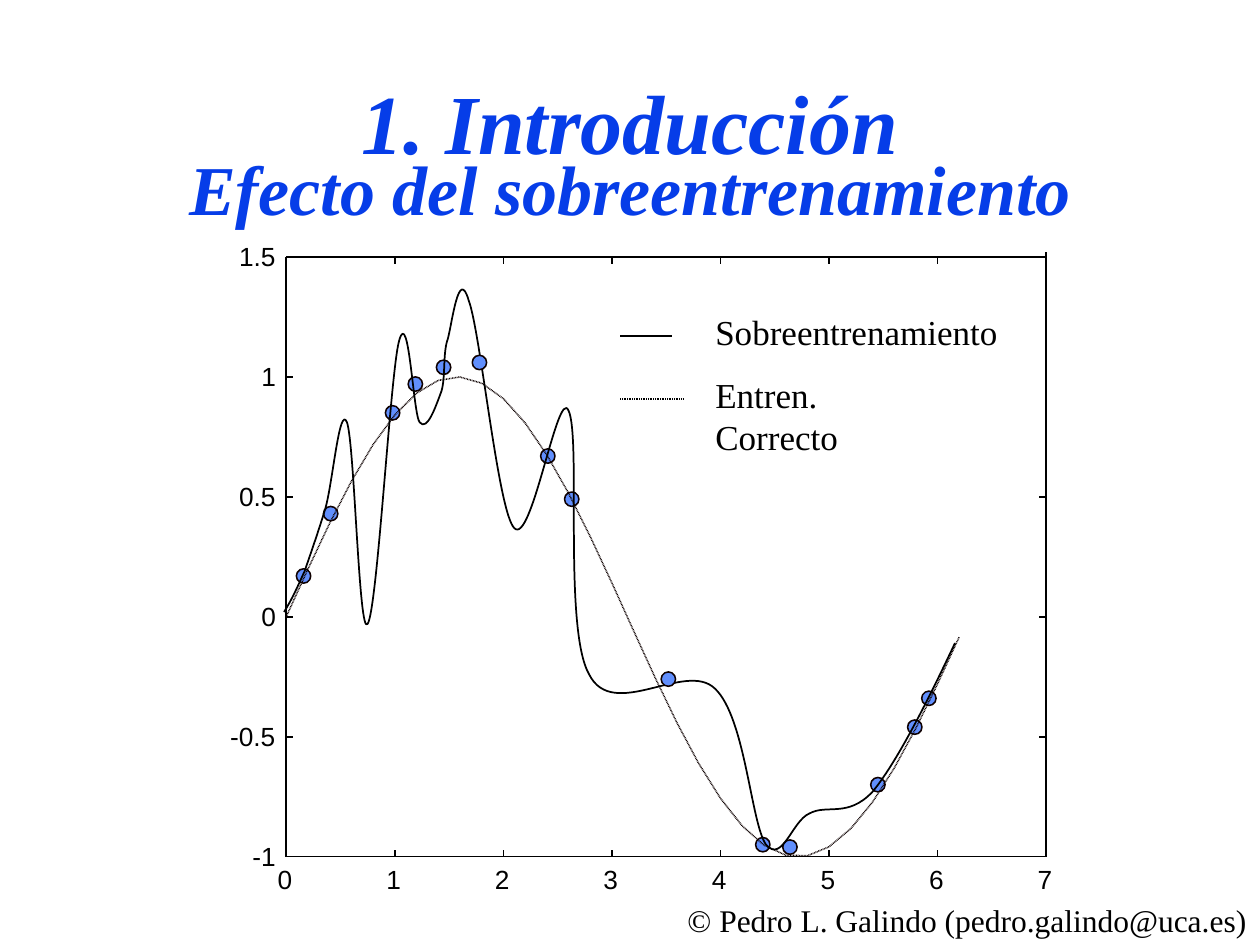
from math import sin

from lxml.etree import SubElement
from pptx import Presentation
from pptx.dml.color import RGBColor
from pptx.enum.shapes import MSO_CONNECTOR, MSO_SHAPE
from pptx.enum.text import MSO_ANCHOR, MSO_AUTO_SIZE, PP_ALIGN
from pptx.oxml.ns import qn
from pptx.util import Cm, Pt

# Plot frame in cm, and cm per axis unit
LEFT, RIGHT, TOP, BOTTOM = 5.77, 21.09, 5.18, 17.27
X_UNIT = (RIGHT - LEFT) / 7
Y_UNIT = (BOTTOM - TOP) / 2.5
TICK = 0.14
MARKER = 0.29
GLYPH_WIDTHS = {".": 0.15, "-": 0.18}

TITLE = {"name": "Times New Roman", "bold": True, "italic": True}
AXIS = {"name": "Arial", "size": Pt(15)}
LEGEND = {"name": "Times New Roman", "size": Pt(20)}
FOOTER = {"name": "Times New Roman", "size": Pt(18)}

SAMPLES = [
    (0.16, 0.17), (0.41, 0.43), (0.98, 0.85), (1.19, 0.97), (1.45, 1.04),
    (2.41, 0.67), (2.63, 0.49), (4.39, -0.95), (4.64, -0.96), (5.45, -0.7),
    (5.79, -0.46), (5.92, -0.34),
]
TOP_SAMPLES = [(1.78, 1.06), (3.52, -0.26)]

# Start point, then two control points and an end point per Bézier piece
OVERFIT = [
    (-0.02, 0.02),
    (0.05, 0.07), (0.1, 0.12), (0.17, 0.19),
    (0.23, 0.27), (0.3, 0.36), (0.36, 0.45),
    (0.43, 0.56), (0.49, 0.89), (0.56, 0.81),
    (0.63, 0.72), (0.67, -0.09), (0.75, -0.03),
    (0.84, 0.03), (0.96, 1.02), (1.04, 1.15),
    (1.13, 1.3), (1.17, 0.84), (1.23, 0.81),
    (1.3, 0.77), (1.38, 0.88), (1.43, 0.94),
    (1.47, 1), (1.44, 1.1), (1.49, 1.16),
    (1.53, 1.23), (1.59, 1.46), (1.68, 1.32),
    (1.79, 1.19), (1.95, 0.44), (2.1, 0.37),
    (2.26, 0.29), (2.5, 0.96), (2.6, 0.86),
    (2.72, 0.75), (2.55, -0.05), (2.79, -0.24),
    (3.01, -0.44), (3.68, -0.18), (3.95, -0.3),
    (4.23, -0.42), (4.28, -0.86), (4.42, -0.95),
    (4.57, -1.03), (4.66, -0.85), (4.82, -0.82),
    (4.98, -0.78), (5.17, -0.84), (5.4, -0.73),
    (5.62, -0.61), (5.9, -0.36), (6.16, -0.11),
]


def color(hex_text):
    return RGBColor.from_string(hex_text)


def to_page(x, y):
    """Turn axis values into cm on the slide."""
    return LEFT + x * X_UNIT, BOTTOM - (y + 1) * Y_UNIT


def bend(outline):
    """Join every three straight segments into one cubic Bézier piece."""
    segments = list(outline._element.iter(qn("a:lnTo")))
    for i in range(0, len(segments), 3):
        piece = SubElement(segments[i].getparent(), qn("a:cubicBezTo"))
        for segment in segments[i:i + 3]:
            piece.append(segment[0])
            segment.getparent().remove(segment)


class SlideBuilder:
    """Holds the drawing style and the current slide."""

    ink = "000000"
    blue = "063DE8"
    marker_fill = "618FFD"
    marker_edge = "0F0000"
    fit_ink = "0E0000"
    thin = 0.88

    def __init__(self, slide):
        self.shapes = slide.shapes

    def stroke(self, line, width, hex_text=ink, dotted=False):
        line.color.rgb = color(hex_text)
        line.width = Pt(width)
        if dotted:
            dashes = SubElement(line._get_or_add_ln(), qn("a:custDash"))
            SubElement(dashes, qn("a:ds"), d="50000", sp="50000")

    def line(self, x1, y1, x2, y2, width=thin, dotted=False):
        connector = self.shapes.add_connector(
            MSO_CONNECTOR.STRAIGHT, Cm(x1), Cm(y1), Cm(x2), Cm(y2))
        self.stroke(connector.line, width, dotted=dotted)
        SubElement(connector._element.spPr, qn("a:effectLst"))

    def curve(self, values, width=thin, hex_text=ink, dotted=False, smooth=False):
        points = [tuple(Cm(v) for v in to_page(x, y)) for x, y in values]
        builder = self.shapes.build_freeform(*points[0])
        builder.add_line_segments(points[1:], close=False)
        outline = builder.convert_to_shape()
        if smooth:
            bend(outline)
        outline.shadow.inherit = False
        outline.fill.background()
        self.stroke(outline.line, width, hex_text, dotted)

    def marker(self, x, y):
        center_x, center_y = to_page(x, y)
        dot = self.shapes.add_shape(
            MSO_SHAPE.OVAL, Cm(center_x - MARKER / 2), Cm(center_y - MARKER / 2),
            Cm(MARKER), Cm(MARKER))
        dot.shadow.inherit = False
        dot.fill.solid()
        dot.fill.fore_color.rgb = color(self.marker_fill)
        self.stroke(dot.line, self.thin, self.marker_edge)

    def style_font(self, font, style, hex_text):
        for attribute, value in style.items():
            setattr(font, attribute, value)
        font.color.rgb = color(hex_text)

    def text(self, content, left, top, width, height, style, inset=True):
        box = self.shapes.add_textbox(Cm(left), Cm(top), Cm(width), Cm(height))
        frame = box.text_frame
        frame.word_wrap = False
        frame.auto_size = MSO_AUTO_SIZE.SHAPE_TO_FIT_TEXT
        if not inset:
            for side in ("left", "right", "top", "bottom"):
                setattr(frame, f"margin_{side}", 0)
        run = frame.paragraphs[0].add_run()
        run.text = content
        self.style_font(run.font, style, self.ink)

    def title(self, lines, left, top, width, height):
        box = self.shapes.add_textbox(Cm(left), Cm(top), Cm(width), Cm(height))
        frame = box.text_frame
        frame.word_wrap = True
        frame.vertical_anchor = MSO_ANCHOR.MIDDLE
        paragraph = frame.paragraphs[0]
        paragraph.alignment = PP_ALIGN.CENTER
        paragraph.line_spacing = 0.7
        for i, (content, size) in enumerate(lines):
            if i:
                paragraph.add_line_break()
            run = paragraph.add_run()
            run.text = content
            self.style_font(run.font, {**TITLE, "size": Pt(size)}, self.blue)

    def axes(self):
        for value in range(8):
            x, _ = to_page(value, 0)
            self.line(x, BOTTOM, x, BOTTOM - TICK)
            self.line(x, TOP, x, TOP + TICK)
            self.text(str(value), x - 0.17, 17.4, 0.3, 0.63, AXIS, inset=False)
        for label in ("-1", "-0.5", "0", "0.5", "1", "1.5"):
            _, y = to_page(0, float(label))
            self.line(LEFT, y, LEFT + TICK, y)
            if label != "1":
                self.line(RIGHT, y, RIGHT - TICK, y)
            width = sum(GLYPH_WIDTHS.get(glyph, 0.3) for glyph in label)
            self.text(label, 5.57 - width, y - 0.33, width, 0.63, AXIS, inset=False)
        for y in (BOTTOM, TOP):
            self.line(LEFT, y, RIGHT, y)
        self.line(LEFT, BOTTOM, LEFT, TOP)
        self.line(RIGHT, BOTTOM, RIGHT, 5.08)


def main():
    deck = Presentation()
    deck.slide_width, deck.slide_height = Cm(25.4), Cm(19.05)
    page = SlideBuilder(deck.slides.add_slide(deck.slide_layouts[6]))

    page.text("© Pedro L. Galindo (pedro.galindo@uca.es)", 13.61, 18.03, 11.79, 1.02, FOOTER)
    page.axes()
    for sample in SAMPLES:
        page.marker(*sample)
    page.curve([(i / 5, sin(i / 5)) for i in range(32)],
               hex_text=page.fit_ink, dotted=True)
    page.curve(OVERFIT, width=1, smooth=True)

    page.line(12.5, 6.78, 13.54, 6.78, width=1)
    page.line(12.5, 8.05, 13.77, 8.05, width=1, dotted=True)
    page.text("Entren. Correcto", 14.17, 7.41, 5.21, 1.12, LEGEND)
    page.text("Sobreentrenamiento", 14.17, 6.14, 6.2, 1.12, LEGEND)
    for sample in TOP_SAMPLES:
        page.marker(*sample)
    page.title([("1. Introducción", 48), ("Efecto del sobreentrenamiento", 40)],
               1.9, 1.69, 21.6, 3.18)
    deck.save("out.pptx")


if __name__ == "__main__":
    main()
